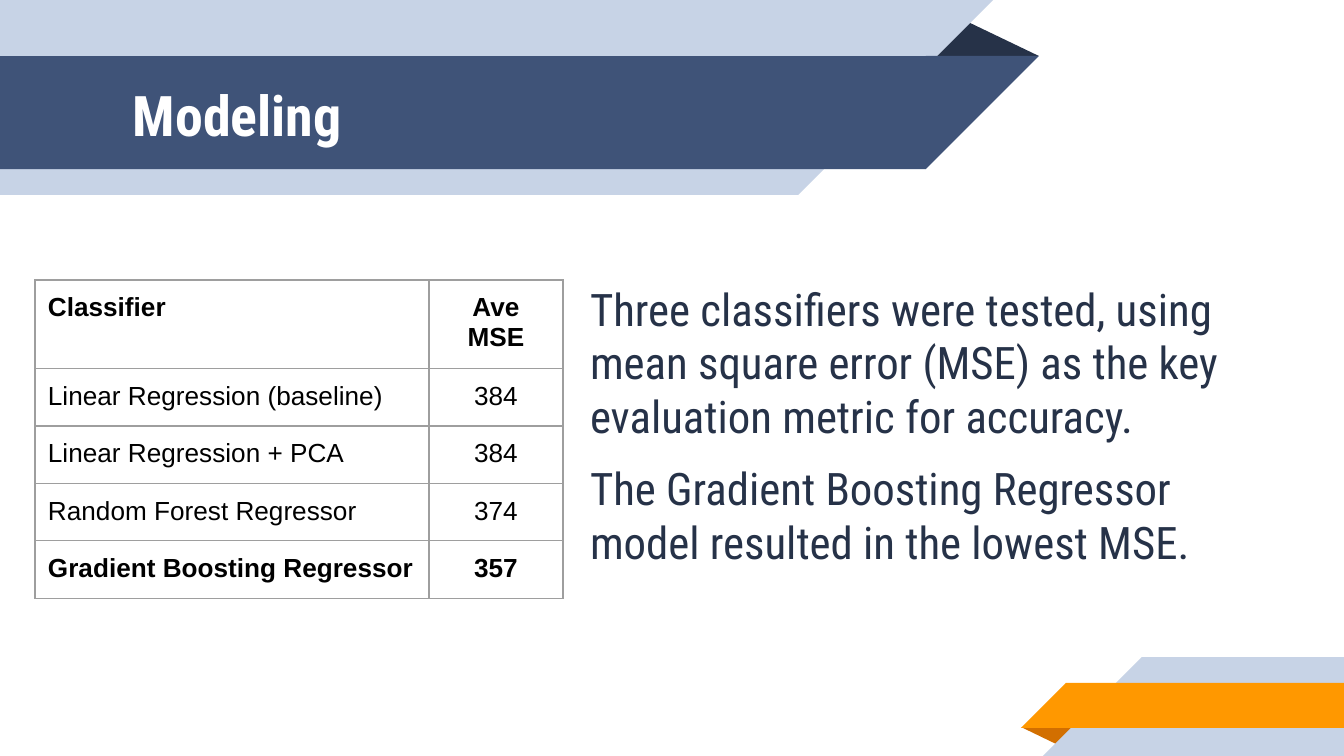
from lxml.etree import SubElement
from pptx import Presentation
from pptx.dml.color import RGBColor
from pptx.enum.shapes import MSO_SHAPE as Shape
from pptx.enum.text import MSO_ANCHOR as Anchor, PP_ALIGN as Align
from pptx.oxml.ns import qn
from pptx.util import Emu, Pt

PX_PER_INCH = 134.4
NAVY, DARK, PALE = "3F5378", "263248", "C7D3E6"
ORANGE, BROWN = "FF9800", "D26F00"
WHITE, BLACK, GRID = "FFFFFF", "000000", "9E9E9E"
HEADING_FONT, TABLE_FONT = "Roboto Condensed", "Arial"


def px(length):
    return Emu(round(length * 914400 / PX_PER_INCH))


def color(value):
    return RGBColor.from_string(value)


class SlideBuilder:
    padding = 13

    def __init__(self, deck):
        self.page = deck.slides.add_slide(deck.slide_layouts[6])

    def shape(self, kind, bounds, fill, rotation=0, flip=False):
        shape = self.page.shapes.add_shape(kind, *map(px, bounds))
        shape.shadow.inherit = False
        shape.fill.solid()
        shape.fill.fore_color.rgb = color(fill)
        shape.line.fill.background()
        shape.rotation = rotation
        if flip:
            shape.element.spPr.xfrm.set("flipH", "1")
        return shape

    def fold(self, bounds, fill, rotation=0):
        self.shape(Shape.ISOSCELES_TRIANGLE, bounds, fill, rotation).adjustments[0] = 0.324

    def band(self, left, top, width, height, fill, slant_left, rotation=0):
        self.shape(Shape.RECTANGLE, (left, top, width, height), fill, rotation, True)
        self.shape(Shape.RIGHT_TRIANGLE, (slant_left, top, height, height), fill, rotation, True)

    def header_band(self, top, width, height, fill):
        self.band(0, top, width, height, fill, width, 180)

    def footer_band(self, left, top, height, fill):
        self.band(left, top, 1344 - left, height, fill, left - height)

    def run(self, para, text, size, font, fill, bold=False):
        span = para.add_run()
        span.text = text
        span.font.size = Pt(size)
        span.font.name = font
        span.font.bold = bold
        span.font.color.rgb = color(fill)

    def text(self, bounds, paragraphs, size, fill, bold=False):
        frame = self.page.shapes.add_textbox(*map(px, bounds)).text_frame
        frame.word_wrap = True
        frame.vertical_anchor = Anchor.MIDDLE
        frame.margin_left = frame.margin_right = px(self.padding)
        frame.margin_top = frame.margin_bottom = px(self.padding)
        for index, (text, before, after) in enumerate(paragraphs):
            para = frame.add_paragraph() if index else frame.paragraphs[0]
            para.space_before, para.space_after = Pt(before), Pt(after)
            self.run(para, text, size, HEADING_FONT, fill, bold)

    def borders(self, cell):
        properties = cell._tc.get_or_add_tcPr()
        for index, side in enumerate(("lnL", "lnR", "lnT", "lnB")):
            line = SubElement(properties, qn(f"a:{side}"), w=str(Pt(0.75)))
            fill = SubElement(line, qn("a:solidFill"))
            SubElement(fill, qn("a:srgbClr"), val=GRID)
            properties.insert(index, line)

    def table(self, left, top, widths, heights, rows, bold_rows):
        bounds = (left, top, sum(widths), sum(heights))
        table = self.page.shapes.add_table(len(rows), len(widths), *map(px, bounds)).table
        table.first_row = table.horz_banding = False
        for column, width in zip(table.columns, widths):
            column.width = px(width)
        for index, (row, height, values) in enumerate(zip(table.rows, heights, rows)):
            row.height = px(height)
            for cell, value, align in zip(row.cells, values, (Align.LEFT, Align.CENTER)):
                cell.fill.background()
                cell.margin_left = cell.margin_right = px(self.padding)
                cell.margin_top = cell.margin_bottom = px(self.padding)
                para = cell.text_frame.paragraphs[0]
                para.alignment = align
                self.run(para, value, 14, TABLE_FONT, BLACK, index in bold_rows)
                self.borders(cell)


def main():
    deck = Presentation()
    deck.slide_width, deck.slide_height = px(1344), px(756)
    slide = SlideBuilder(deck)

    slide.fold((1021, 727, 58, 19), BROWN, 180)
    slide.footer_band(1142, 657, 99, PALE)
    slide.footer_band(1066, 683, 45, ORANGE)
    slide.fold((925, 19, 114, 37), DARK)
    slide.header_band(0, 798, 195, PALE)
    slide.header_band(56, 926, 113, NAVY)

    slide.text((120, 58, 808, 113), [("Modeling", 0, 0)], 30, WHITE, True)
    slide.text((577, 194, 704, 462), [
        ("Three classifiers were tested, using mean square error (MSE) "
         "as the key evaluation metric for accuracy.", 6, 0),
        ("The Gradient Boosting Regressor model resulted in the lowest MSE.", 10, 10),
    ], 24, DARK)

    rows = [
        ("Classifier", "Ave MSE"),
        ("Linear Regression (baseline)", "384"),
        ("Linear Regression + PCA", "384"),
        ("Random Forest Regressor", "374"),
        ("Gradient Boosting Regressor", "357"),
    ]
    slide.table(35, 280, (394, 134), (86, 56, 56, 56, 56), rows, (0, 4))

    deck.save("out.pptx")


if __name__ == "__main__":
    main()
